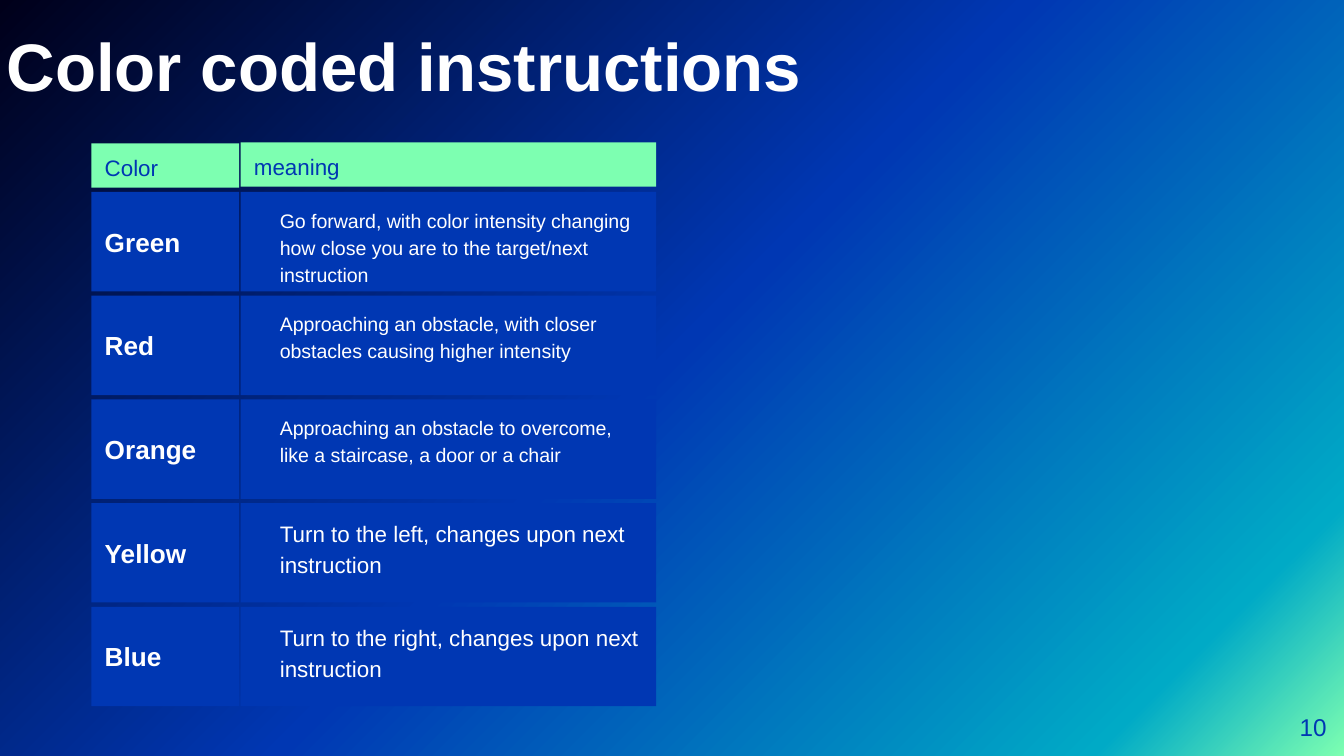
from copy import deepcopy

from pptx import Presentation
from pptx import util as u
from pptx.dml.color import RGBColor
from pptx.enum import shapes, text
from pptx.oxml.ns import qn

COLORS = {"mint": "7DFFB1", "teal": "00AAC6", "blue": "0037B3",
          "night": "00001A", "white": "FFFFFF"}
BACKDROP = [(0, "mint"), (0.12, "teal"), (0.51, "blue"), (1, "night")]

LABEL_COLUMN = (1.73, 2.79)  # left, width in cm
MEANING_COLUMN = (4.55, 7.85)
HEADER_HEIGHT = 0.84
FIRST_ROW_TOP, ROW_PITCH, ROW_HEIGHT = 3.63, 1.96, 1.88

INSTRUCTIONS = [
    ("Green", "Go forward, with color intensity changing how close you are "
              "to the target/next instruction", 10.5),
    ("Red", "Approaching an obstacle, with closer obstacles causing higher intensity", 10.5),
    ("Orange", "Approaching an obstacle to overcome, like a staircase, a door or a chair", 10.5),
    ("Yellow", "Turn to the left, changes upon next instruction", 12),
    ("Blue", "Turn to the right, changes upon next instruction", 12),
]


class InstructionSlide:
    font = "Arial"
    cell_inset = 0.25

    def __init__(self, slide):
        self.slide = slide

    def color(self, name):
        return RGBColor.from_string(COLORS[name])

    def backdrop(self, stops, angle):
        fill = self.slide.background.fill
        fill.gradient()
        fill.gradient_angle = angle
        stop_list = self.slide.element.find(".//" + qn("a:gsLst"))
        while len(stop_list) < len(stops):
            stop_list.append(deepcopy(stop_list[0]))
        for stop, (position, name) in zip(fill.gradient_stops, stops):
            stop.position = position
            stop.color.rgb = self.color(name)

    def set_words(self, shape, words, size, color, bold=False, inset=0.0,
                  anchor=text.MSO_ANCHOR.MIDDLE, align=text.PP_ALIGN.LEFT,
                  spacing=None, indent=None):
        frame = shape.text_frame
        frame.word_wrap = True
        frame.vertical_anchor = anchor
        frame.margin_left = frame.margin_right = u.Cm(inset)
        frame.margin_top = frame.margin_bottom = u.Cm(inset)
        paragraph = frame.paragraphs[0]
        paragraph.alignment = align
        if spacing:
            paragraph.line_spacing = spacing
        if indent:
            properties = paragraph._p.get_or_add_pPr()
            properties.set("marL", str(u.Cm(indent)))
            properties.set("indent", "0")
        run = paragraph.add_run()
        run.text = words
        run.font.name = self.font
        run.font.size = u.Pt(size)
        run.font.bold = bold
        run.font.color.rgb = self.color(color)

    def label(self, left, top, width, height, words, size, color, **style):
        box = self.slide.shapes.add_textbox(*map(u.Cm, (left, top, width, height)))
        self.set_words(box, words, size, color, **style)

    def cell(self, parent, column, top, height, fill, words, size, color, **style):
        left, width = column
        panel = parent.add_shape(shapes.MSO_SHAPE.RECTANGLE,
                                 *map(u.Cm, (left, top, width, height)))
        panel.shadow.inherit = False
        panel.fill.solid()
        panel.fill.fore_color.rgb = self.color(fill)
        panel.line.fill.background()
        self.set_words(panel, words, size, color, inset=self.cell_inset, **style)

    def header(self, column, top, words):
        self.cell(self.slide.shapes, column, top, HEADER_HEIGHT, "mint",
                  words, 12, "blue", spacing=1.15)

    def instruction(self, top, name, meaning, size):
        row = self.slide.shapes.add_group_shape().shapes
        self.cell(row, MEANING_COLUMN, top, ROW_HEIGHT, "blue", meaning, size, "white",
                  anchor=text.MSO_ANCHOR.TOP, spacing=1.15, indent=0.49)
        self.cell(row, LABEL_COLUMN, top, ROW_HEIGHT, "blue", name, 14, "white", bold=True)


def main():
    deck = Presentation()
    deck.slide_width, deck.slide_height = u.Cm(25.4), u.Cm(14.29)
    page = InstructionSlide(deck.slides.add_slide(deck.slide_layouts[6]))

    page.backdrop(BACKDROP, angle=135)
    page.label(0.13, -0.41, 16.74, 2.39, "Color coded instructions", 36, "white",
               bold=True, anchor=text.MSO_ANCHOR.BOTTOM)
    page.label(23.55, 13.19, 1.52, 1.09, "10", 13, "blue", align=text.PP_ALIGN.RIGHT)

    page.header(LABEL_COLUMN, 2.71, "Color")
    page.header(MEANING_COLUMN, 2.69, "meaning")
    for index, (name, meaning, size) in enumerate(INSTRUCTIONS):
        page.instruction(FIRST_ROW_TOP + index * ROW_PITCH, name, meaning, size)

    deck.save("out.pptx")


if __name__ == "__main__":
    main()
